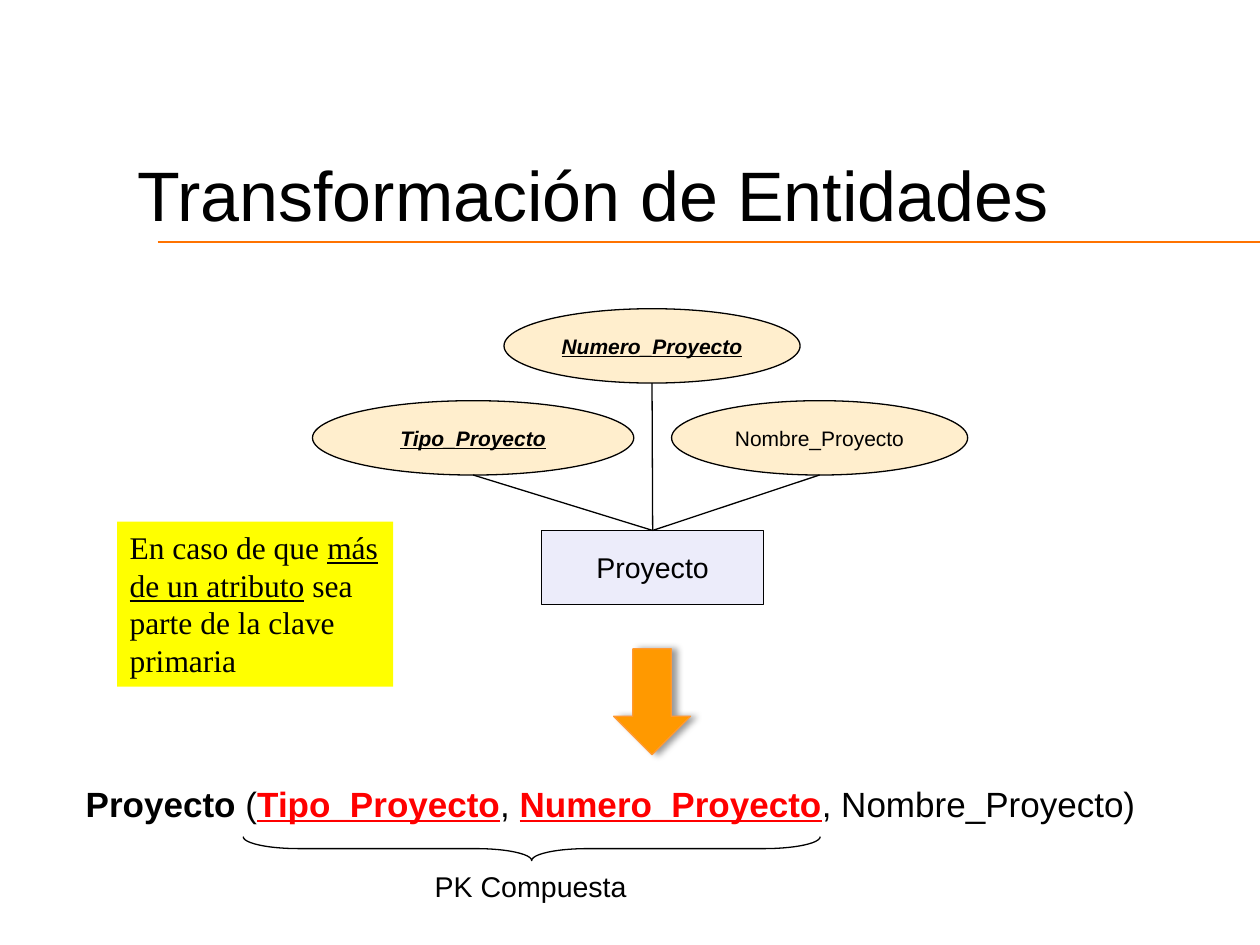
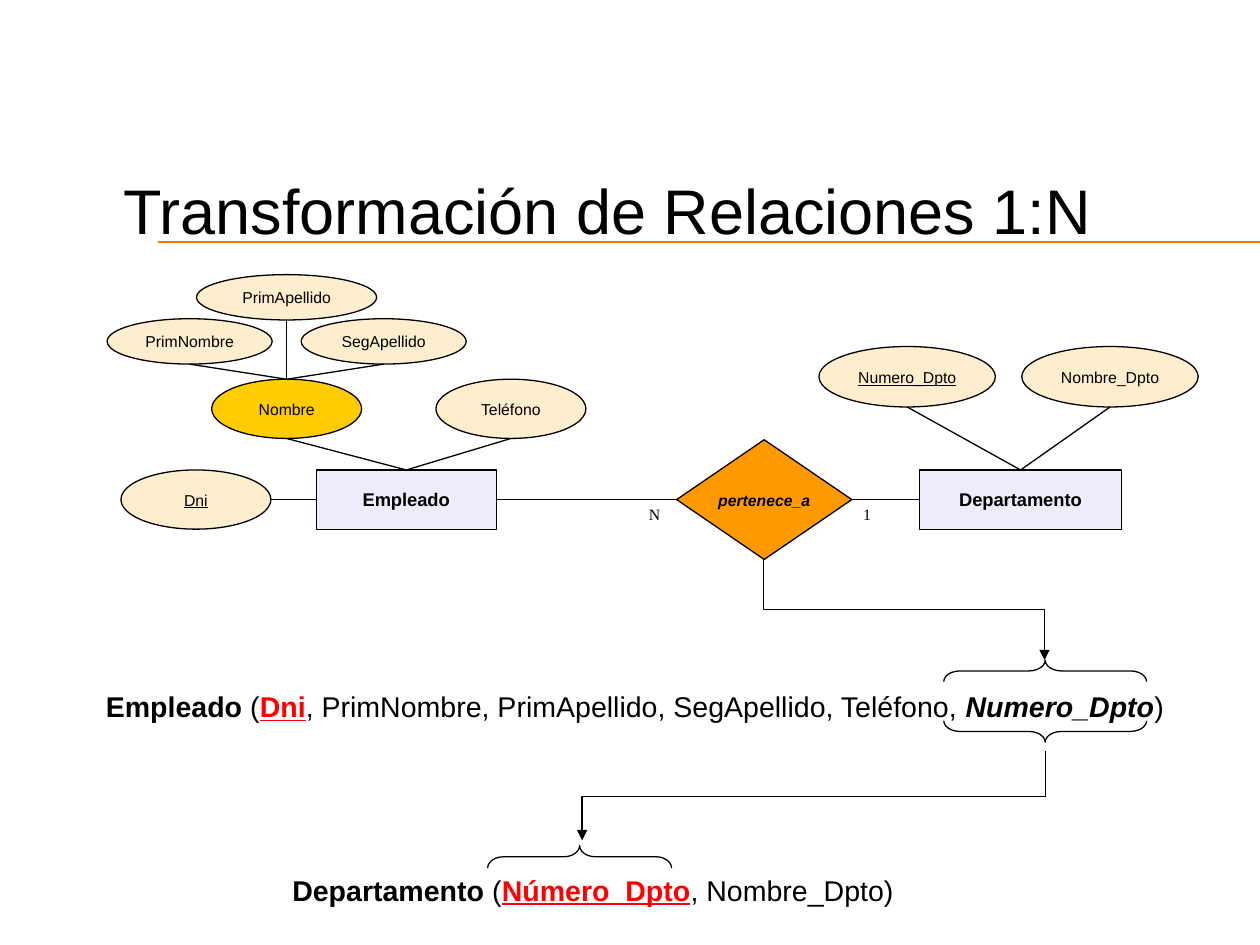
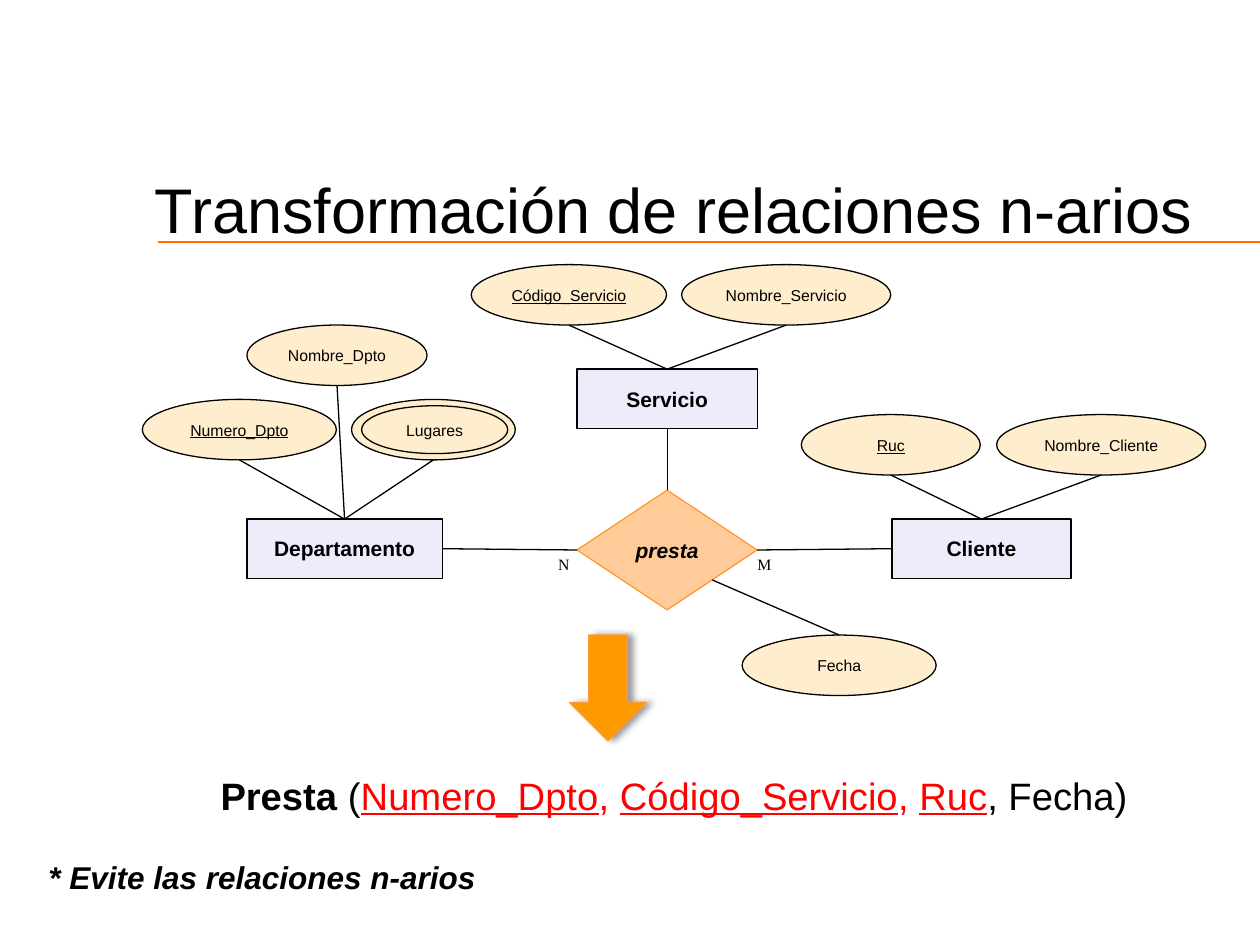
from dataclasses import dataclass
from lxml.etree import SubElement
from pptx import Presentation
from pptx.dml.color import RGBColor
from pptx.enum.shapes import MSO_CONNECTOR, MSO_SHAPE
from pptx.enum.text import MSO_ANCHOR, MSO_AUTO_SIZE, PP_ALIGN
from pptx.oxml.ns import qn
from pptx.util import Inches, Pt

COLUMNS, ROWS = 10, 7.5
TOP, BOTTOM, LEFT, RIGHT = (0.5, 0), (0.5, 1), (0, 0.5), (1, 0.5)
LOWER_RIGHT = (0.75, 0.75)


@dataclass(frozen=True)
class Theme:
    ink: str = "000000"
    key: str = "FF0000"
    rule: str = "FF7300"
    entity: str = "ECECFA"
    attribute: str = "FFEECD"
    composite: str = "FFCC00"
    relation: str = "FF9900"
    soft_relation: str = "FFCC99"
    relation_edge: str = "FF9933"
    note: str = "FFFF00"
    sans: str = "Arial"
    serif: str = "Times New Roman"
    large_title: float = 40
    title: float = 36
    large_schema: float = 21.8
    wide_schema: float = 20
    remark: float = 18
    schema: float = 16.3
    label: float = 12
    small_entity: float = 10.5
    small: float = 9
    line_width: float = 0.75
    line_spacing: float = 0.93


THEME = Theme()
STYLES = {
    "plain": {},
    "bold": {"bold": True},
    "under": {"underline": True},
    "strong": {"bold": True, "italic": True},
    "strong key": {"bold": True, "italic": True, "underline": True},
    "red": {"color": THEME.key},
    "red under": {"color": THEME.key, "underline": True},
    "red key": {"color": THEME.key, "bold": True, "underline": True},
}
TEXT_INSETS = (0.09, 0.06, 0.09, 0.04)
NOTE_INSETS = (0.1, 0.05, 0.1, 0.05)
TITLE_INSETS = (0.1, 0.06, 0.1, 0.05)


def set_all(target, values):
    for name, value in values.items():
        setattr(target, name, value)


class Page:
    """Draws on the current slide, with boxes given in grid columns and rows."""

    def __init__(self, deck, theme):
        self.deck, self.theme = deck, theme
        self.column = deck.slide_width / COLUMNS
        self.row = deck.slide_height / ROWS
        self.layout = deck.slide_layouts.get_by_name("Title Only")
        self.slide = None

    def place(self, box):
        left, top, width, height = box
        return [round(value) for value in (left * self.column, top * self.row,
                                           width * self.column, height * self.row)]

    def start(self, title, box, size):
        first = self.slide is None
        self.slide = self.deck.slides.add_slide(self.layout)
        if first:
            rule = self.line((1.25, 1.92), (COLUMNS, 1.92), self.theme.rule)
            self.layout.shapes.element.append(rule.element)
        holder = self.slide.shapes.title
        set_all(holder, dict(zip(("left", "top", "width", "height"), self.place(box))))
        self.fill_text(holder, [(title, "plain")], size, insets=TITLE_INSETS, spacing=1, wrap=True)

    def fill_text(self, shape, spans, size, font=None, align=PP_ALIGN.LEFT,
                  anchor=MSO_ANCHOR.TOP, insets=TEXT_INSETS, spacing=None, wrap=False):
        frame = shape.text_frame
        margins = ("margin_left", "margin_top", "margin_right", "margin_bottom")
        set_all(frame, {"auto_size": MSO_AUTO_SIZE.NONE, "word_wrap": wrap,
                        "vertical_anchor": anchor, **dict(zip(margins, map(Inches, insets)))})
        para = frame.paragraphs[0]
        set_all(para, {"alignment": align, "line_spacing": spacing or self.theme.line_spacing})
        for text, style in spans:
            span = para.add_run()
            span.text = text
            values = {"size": Pt(size), "name": font or self.theme.sans, **STYLES[style]}
            span.font.color.rgb = RGBColor.from_string(values.pop("color", self.theme.ink))
            set_all(span.font, values)

    def text(self, box, spans, size, **options):
        shape = self.slide.shapes.add_textbox(*self.place(box))
        self.fill_text(shape, spans, size, **options)

    def shape(self, kind, box, fill=None, edge=None):
        shape = self.slide.shapes.add_shape(kind, *self.place(box))
        shape.shadow.inherit = False
        if fill:
            shape.fill.solid()
            shape.fill.fore_color.rgb = RGBColor.from_string(fill)
        else:
            shape.fill.background()
        if edge:
            self.stroke(shape.line, edge)
        else:
            shape.line.fill.background()
        return shape

    def stroke(self, line, color):
        line.color.rgb = RGBColor.from_string(color)
        line.width = Pt(self.theme.line_width)

    def node(self, kind, box, fill, label, style, size, edge=None, wrap=True):
        shape = self.shape(kind, box, fill, edge or self.theme.ink)
        self.fill_text(shape, [(label, style)], size, align=PP_ALIGN.CENTER,
                       anchor=MSO_ANCHOR.MIDDLE, wrap=wrap)
        return shape

    def entity(self, label, box, size, style="bold"):
        shape = self.node(MSO_SHAPE.ROUNDED_RECTANGLE, box, self.theme.entity, label, style, size)
        shape.adjustments[0] = 0
        return shape

    def attribute(self, label, box, style="plain", size=None, fill=None):
        return self.node(MSO_SHAPE.OVAL, box, fill or self.theme.attribute, label, style,
                         size or self.theme.small)

    def attributes(self, owner, items, size=None):
        """Draw attributes and join the foot of each to the top of their owner."""
        for label, box, style in items:
            self.link(self.attribute(label, box, style, size), BOTTOM, owner, TOP)

    def relation(self, label, box, fill, size, edge=None):
        return self.node(MSO_SHAPE.DIAMOND, box, fill, label, "strong", size, edge, wrap=False)

    def cardinality(self, label, box):
        self.text(box, [(label, "plain")], self.theme.small, font=self.theme.serif)

    def line(self, start, end, color=None, arrow=False, kind=MSO_CONNECTOR.STRAIGHT):
        points = self.place((*start, *end))
        connector = self.slide.shapes.add_connector(kind, *points)
        self.stroke(connector.line, color or self.theme.ink)
        properties = connector.element.spPr
        if arrow:
            SubElement(properties.find(qn("a:ln")), qn("a:tailEnd"), type="triangle")
        SubElement(properties, qn("a:effectLst"))
        return connector

    def link(self, first, first_side, second, second_side):
        """Join two shapes at points given as shares of their boxes."""
        start, end = [((shape.left + across * shape.width) / self.column,
                       (shape.top + down * shape.height) / self.row)
                      for shape, (across, down) in ((first, first_side), (second, second_side))]
        self.line(start, end)

    def elbow_down(self, start, end):
        """Arrow that leaves downwards, runs right and arrives downwards."""
        (x1, y1), (x2, y2) = start, end
        across, down = x2 - x1, y2 - y1
        left, top = (x1 + x2 - down) / 2, (y1 + y2 - across) / 2
        connector = self.line((left, top), (left + down, top + across), arrow=True,
                              kind=MSO_CONNECTOR.ELBOW)
        frame = connector.element.spPr.find(qn("a:xfrm"))
        frame.set("rot", str(270 * 60000))
        frame.set("flipH", "1")

    def brace(self, box, curve, rotation):
        """Lying brace that fills the box; 90 points up and 270 points down."""
        left, top, width, height = box
        upright = (left + (width - height) / 2, top + (height - width) / 2, height, width)
        shape = self.shape(MSO_SHAPE.LEFT_BRACE, upright, edge=self.theme.ink)
        shape.rotation = rotation
        shape.adjustments[0] = curve

    def down_arrow(self, left, top):
        shape = self.shape(MSO_SHAPE.DOWN_ARROW, (left, top, 0.61, 0.84),
                           self.theme.relation, self.theme.relation_edge)
        effects = shape.element.spPr.find(qn("a:effectLst"))
        shadow = SubElement(effects, qn("a:outerShdw"), blurRad=str(Pt(4)), dist=str(Pt(3)),
                            dir="0", rotWithShape="0")
        color = SubElement(shadow, qn("a:srgbClr"), val=self.theme.ink)
        SubElement(color, qn("a:alpha"), val="40000")


def entities_slide(page):
    page.start("Transformación de Entidades", (0.99, 1.14, 9.45, 1.07), THEME.large_title)
    project = page.entity("Proyecto", (4.3, 4.21, 1.76, 0.59), THEME.schema, "plain")
    page.attributes(project, [
        ("Tipo_Proyecto", (2.48, 3.18, 2.55, 0.59), "strong key"),
        ("Nombre_Proyecto", (5.33, 3.18, 2.35, 0.59), "plain"),
        ("Numero_Proyecto", (4, 2.45, 2.35, 0.59), "strong key"),
    ], THEME.label)
    note = page.shape(MSO_SHAPE.RECTANGLE, (0.93, 4.14, 2.19, 1.31), THEME.note)
    page.fill_text(note, [("En caso de que ", "plain"), ("más de un atributo", "under"),
                          (" sea parte de la clave primaria", "plain")], THEME.remark,
                   font=THEME.serif, insets=NOTE_INSETS, spacing=1, wrap=True)
    page.down_arrow(4.87, 5.15)
    page.text((0.59, 6.18, 9.31, 0.41), [
        ("Proyecto", "bold"), (" (", "plain"), ("Tipo_Proyecto", "red key"), (", ", "plain"),
        ("Numero_Proyecto", "red key"), (", Nombre_Proyecto)", "plain")], THEME.wide_schema)
    page.brace((1.93, 6.64, 4.58, 0.19), 2.33, 270)
    page.text((3.36, 6.86, 1.71, 0.34), [("PK Compuesta", "plain")], THEME.schema)


def one_to_many_slide(page):
    page.start("Transformación de Relaciones 1:N", (0.88, 1.3, 8.85, 0.56), THEME.title)
    employee = page.entity("Empleado", (2.51, 3.73, 1.43, 0.47), THEME.small_entity)
    department = page.entity("Departamento", (7.3, 3.73, 1.6, 0.47), THEME.small_entity)
    belongs = page.relation("pertenece_a", (5.37, 3.49, 1.39, 0.95), THEME.relation, THEME.small)
    page.link(employee, RIGHT, belongs, LEFT)
    page.link(belongs, RIGHT, department, LEFT)
    page.cardinality("N", (5.06, 3.96, 0.31, 0.29))
    page.cardinality("1", (6.76, 3.96, 0.28, 0.29))

    identity = page.attribute("Dni", (0.96, 3.73, 1.19, 0.47), "under")
    page.link(identity, RIGHT, employee, LEFT)
    name = page.attribute("Nombre", (1.68, 3.01, 1.19, 0.47), fill=THEME.composite)
    page.link(name, BOTTOM, employee, TOP)
    page.attributes(employee, [("Teléfono", (3.46, 3.01, 1.19, 0.47), "plain")])
    page.attributes(name, [
        ("PrimNombre", (0.85, 2.53, 1.31, 0.36), "plain"),
        ("PrimApellido", (1.56, 2.18, 1.43, 0.36), "plain"),
        ("SegApellido", (2.39, 2.53, 1.31, 0.36), "plain"),
    ])
    page.attributes(department, [
        ("Numero_Dpto", (6.5, 2.75, 1.4, 0.48), "under"),
        ("Nombre_Dpto", (8.11, 2.75, 1.4, 0.48), "plain"),
    ])

    page.elbow_down((6.06, 4.44), (8.29, 5.24))
    page.brace((7.49, 5.24, 1.61, 0.17), 0.76, 90)
    page.text((0.75, 5.43, 8.85, 0.35), [
        ("Empleado", "bold"), (" (", "plain"), ("Dni", "red key"),
        (", PrimNombre, PrimApellido, SegApellido, Teléfono, ", "plain"),
        ("Numero_Dpto", "strong"), (")", "plain")], THEME.schema)
    page.brace((7.49, 5.72, 1.61, 0.17), 0.76, 270)
    page.line((8.3, 5.96), (8.3, 6.32))
    page.line((4.62, 6.32), (8.3, 6.32))
    page.line((4.62, 6.32), (4.62, 6.67), arrow=True)
    page.brace((3.87, 6.71, 1.46, 0.18), 0.69, 90)
    page.text((2.23, 6.89, 4.77, 0.34), [
        ("Departamento", "bold"), (" (", "plain"), ("Número_Dpto", "red key"),
        (", Nombre_Dpto)", "plain")], THEME.schema)


def many_way_slide(page):
    page.start("Transformación de relaciones n-arios", (1.13, 1.29, 8.87, 0.62), THEME.title)
    department = page.entity("Departamento", (1.96, 4.12, 1.55, 0.47), THEME.label)
    client = page.entity("Cliente", (7.08, 4.12, 1.42, 0.47), THEME.label)
    service = page.entity("Servicio", (4.58, 2.93, 1.43, 0.47), THEME.label)
    lends = page.relation("presta", (4.58, 3.89, 1.43, 0.95), THEME.soft_relation, THEME.label,
                          THEME.relation_edge)
    page.link(lends, LEFT, department, RIGHT)
    page.link(client, LEFT, lends, RIGHT)
    page.link(lends, TOP, service, BOTTOM)
    page.cardinality("N", (4.34, 4.36, 0.31, 0.29))
    page.cardinality("M", (5.92, 4.36, 0.32, 0.29))

    places = page.shape(MSO_SHAPE.OVAL, (2.79, 3.17, 1.3, 0.48), THEME.attribute, THEME.ink)
    page.attribute("Lugares", (2.87, 3.22, 1.16, 0.38))
    page.link(places, BOTTOM, department, TOP)
    page.attributes(department, [
        ("Numero_Dpto", (1.13, 3.17, 1.54, 0.48), "under"),
        ("Nombre_Dpto", (1.96, 2.58, 1.43, 0.48), "plain"),
    ])
    page.attributes(client, [
        ("Ruc", (6.36, 3.29, 1.42, 0.48), "under"),
        ("Nombre_Cliente", (7.91, 3.29, 1.66, 0.48), "plain"),
    ])
    page.attributes(service, [
        ("Código_Servicio", (3.74, 2.1, 1.55, 0.48), "under"),
        ("Nombre_Servicio", (5.41, 2.1, 1.66, 0.48), "plain"),
    ])
    date = page.attribute("Fecha", (5.89, 5.04, 1.54, 0.48))
    page.link(date, TOP, lends, LOWER_RIGHT)

    page.down_arrow(4.52, 5.04)
    page.text((1.66, 6.1, 7.25, 0.43), [
        ("Presta", "bold"), (" (", "plain"), ("Numero_Dpto", "red under"), (", ", "red"),
        ("Código_Servicio", "red under"), (", ", "red"), ("Ruc", "red under"),
        (", Fecha)", "plain")], THEME.large_schema)
    page.text((-0.97, 6.52, 6.1, 0.89), [("* Evite las relaciones n-arios", "strong")],
              THEME.remark, align=PP_ALIGN.CENTER, anchor=MSO_ANCHOR.MIDDLE)


def main():
    deck = Presentation()
    set_all(deck, {"slide_width": Inches(COLUMNS), "slide_height": Inches(ROWS)})
    page = Page(deck, THEME)
    for draw in (entities_slide, one_to_many_slide, many_way_slide):
        draw(page)
    deck.save("out.pptx")


if __name__ == "__main__":
    main()
